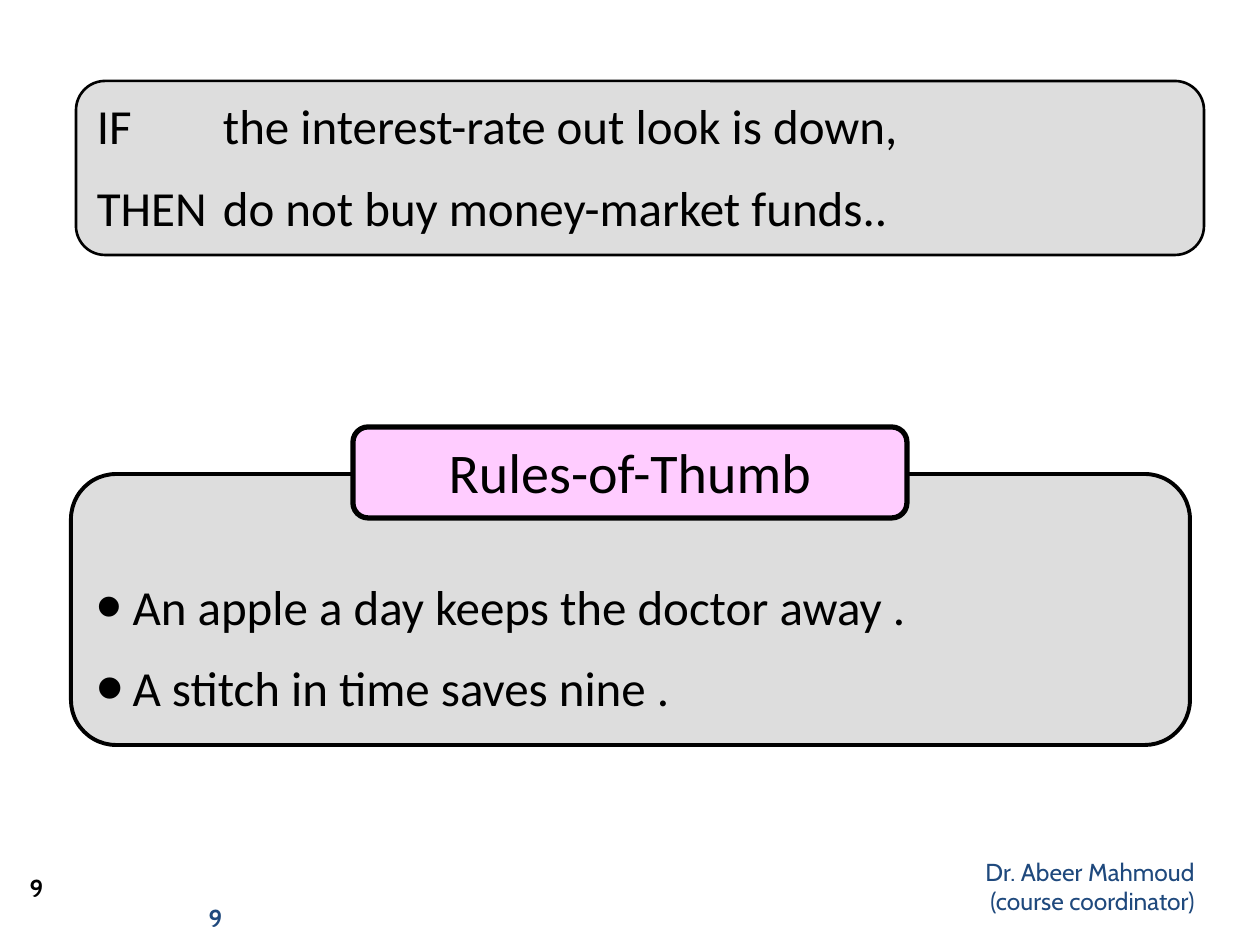
from dataclasses import dataclass
from typing import Optional

import pptx
import pptx.dml.color
import pptx.enum.shapes
import pptx.enum.text
import pptx.oxml
import pptx.oxml.ns
import pptx.util

PX_PER_INCH = 126
BLACK = pptx.dml.color.RGBColor.from_string("000000")
ALIGN = pptx.enum.text.PP_ALIGN
ANCHOR = pptx.enum.text.MSO_ANCHOR


@dataclass(frozen=True)
class Theme:
    ink: pptx.dml.color.RGBColor = BLACK
    panel: pptx.dml.color.RGBColor = pptx.dml.color.RGBColor.from_string("DDDDDD")
    badge: pptx.dml.color.RGBColor = pptx.dml.color.RGBColor.from_string("FFCCFF")
    footer: pptx.dml.color.RGBColor = pptx.dml.color.RGBColor.from_string("1F497D")
    body_font: str = "Calibri"
    footer_font: str = "Cabin"
    body_size: int = 28
    badge_size: int = 32
    footer_size: int = 14
    line_gap: int = 13


THEME = Theme()


@dataclass(frozen=True)
class Box:
    left: int
    top: int
    width: int
    height: int


@dataclass(frozen=True)
class Panel:
    box: Box
    lines: tuple[str, ...]
    fill: pptx.dml.color.RGBColor
    border: float
    size: int = THEME.body_size
    align: ALIGN = ALIGN.LEFT
    margin_top: int = 6
    bullet_percents: Optional[tuple[int, ...]] = None


@dataclass(frozen=True)
class Note:
    box: Box
    lines: tuple[str, ...]
    align: ALIGN = ALIGN.CENTER
    color: pptx.dml.color.RGBColor = THEME.footer
    bold: bool = True


BULLET_INDENT = 36

INTEREST_RULE = Panel(
    Box(76, 81, 1128, 174),
    ("IF\t\tthe interest-rate out look is down,",
     "THEN \tdo not buy money-market funds.."),
    THEME.panel, 1.5)

THUMB_RULES = (
    Panel(Box(71, 474, 1119, 271),
          ("An apple a day keeps the doctor away .",
           "A stitch in time saves nine ."),
          THEME.panel, 2.25, margin_top=89, bullet_percents=(150, 160)),
    Panel(Box(353, 427, 554, 91), ("Rules-of-Thumb",), THEME.badge, 3,
          size=THEME.badge_size, align=ALIGN.CENTER),
)

FOOTERS = (
    Note(Box(882, 861, 325, 50), ("Dr. Abeer Mahmoud", "(course coordinator)"),
         align=ALIGN.RIGHT, bold=False),
    Note(Box(179, 901, 73, 34), ("9",)),
    Note(Box(0, 861, 73, 53), ("9",), color=THEME.ink),
)


def px(length: int) -> pptx.util.Emu:
    return pptx.util.Emu(round(length * 914400 / PX_PER_INCH))


def place(box: Box) -> tuple[pptx.util.Emu, ...]:
    return px(box.left), px(box.top), px(box.width), px(box.height)


def add_bullet(paragraph, percent: int) -> None:
    """Give the paragraph a hanging bullet sized relative to its text."""
    properties = paragraph._p.get_or_add_pPr()
    properties.set("marL", str(px(BULLET_INDENT)))
    properties.set("indent", str(-px(BULLET_INDENT)))
    namespace = pptx.oxml.ns.nsdecls("a")
    for element in (f'<a:buSzPct {namespace} val="{percent * 1000}"/>',
                    f'<a:buFont {namespace} typeface="Arial"/>',
                    f'<a:buChar {namespace} char="•"/>'):
        properties.append(pptx.oxml.parse_xml(element))


def format_paragraph(paragraph, align: ALIGN, font: str, size: int,
                     color: pptx.dml.color.RGBColor, bold: bool = False) -> None:
    paragraph.alignment = align
    for run in paragraph.runs:
        run.font.name = font
        run.font.size = pptx.util.Pt(size)
        run.font.bold = bold
        run.font.color.rgb = color


def draw_panel(shapes, panel: Panel) -> None:
    shape = shapes.add_shape(
        pptx.enum.shapes.MSO_SHAPE.FLOWCHART_ALTERNATE_PROCESS, *place(panel.box))
    shape.shadow.inherit = False
    shape.fill.solid()
    shape.fill.fore_color.rgb = panel.fill
    shape.line.color.rgb = THEME.ink
    shape.line.width = pptx.util.Pt(panel.border)
    frame = shape.text_frame
    frame.word_wrap = True
    frame.vertical_anchor = ANCHOR.TOP
    frame.margin_top = px(panel.margin_top)
    frame.text = "\n".join(panel.lines)
    for index, paragraph in enumerate(frame.paragraphs):
        if index:
            paragraph.space_before = pptx.util.Pt(THEME.line_gap)
        if panel.bullet_percents:
            add_bullet(paragraph, panel.bullet_percents[index])
        format_paragraph(paragraph, panel.align, THEME.body_font, panel.size, THEME.ink)


def draw_note(shapes, note: Note) -> None:
    frame = shapes.add_textbox(*place(note.box)).text_frame
    frame.word_wrap = True
    frame.vertical_anchor = ANCHOR.MIDDLE
    frame.text = "\n".join(note.lines)
    for paragraph in frame.paragraphs:
        format_paragraph(paragraph, note.align, THEME.footer_font,
                         THEME.footer_size, note.color, note.bold)


def main() -> None:
    presentation = pptx.Presentation()
    presentation.slide_width = pptx.util.Inches(10)
    presentation.slide_height = pptx.util.Inches(7.5)
    blank_layout = presentation.slide_layouts[6]
    shapes = presentation.slides.add_slide(blank_layout).shapes

    draw_panel(shapes, INTEREST_RULE)
    thumb_group = shapes.add_group_shape()
    for panel in THUMB_RULES:
        draw_panel(thumb_group.shapes, panel)
    for note in FOOTERS:
        draw_note(shapes, note)

    presentation.save("out.pptx")


if __name__ == "__main__":
    main()
